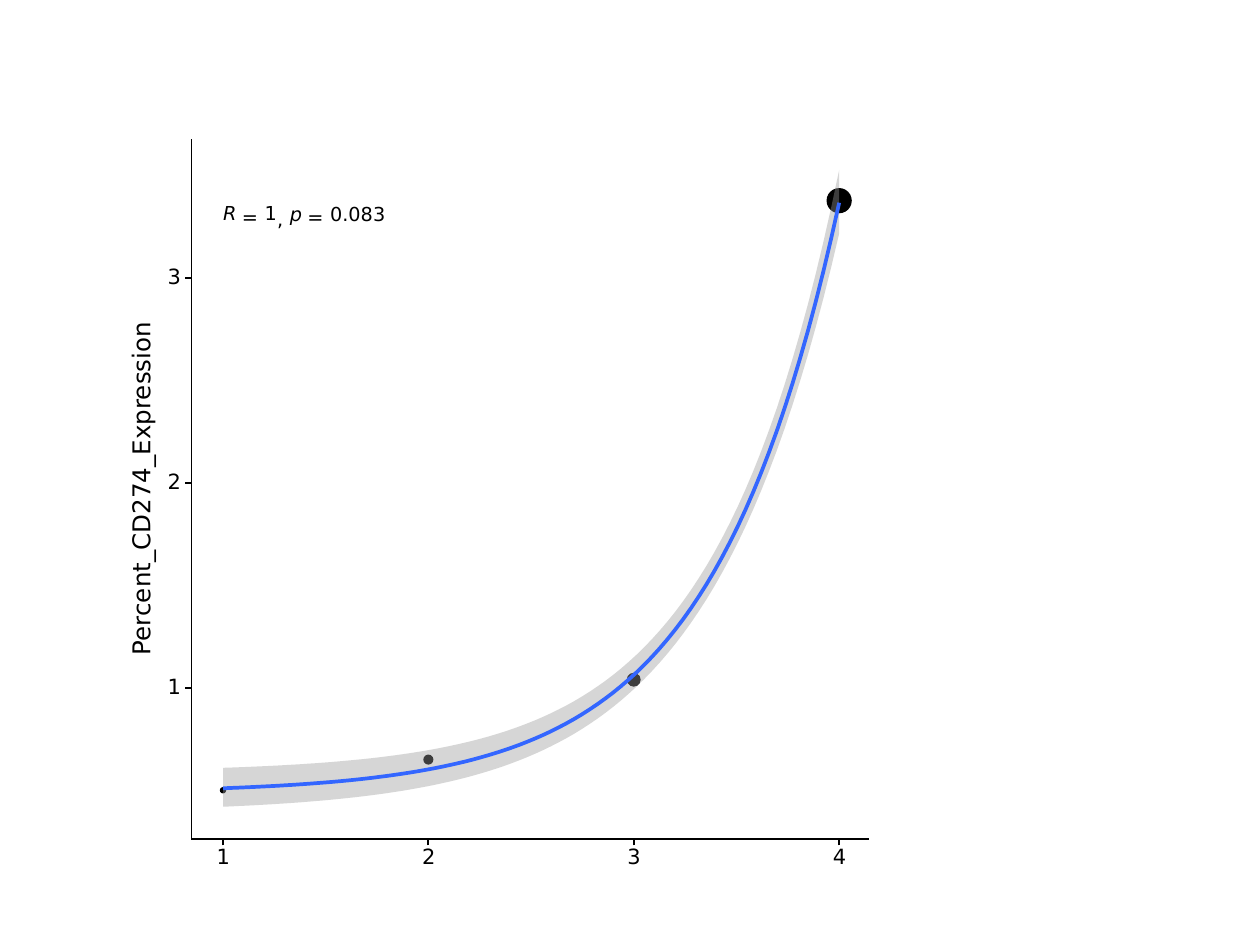
"""Draw a scatter plot with an exponential fit and its confidence band."""
from dataclasses import dataclass

from lxml import etree
from pptx import Presentation
from pptx import util as u
from pptx.dml.color import RGBColor
from pptx.enum import shapes, text
from pptx.oxml import ns


@dataclass(frozen=True)
class Theme:
    font: str = "DejaVu Sans"
    ink: str = "000000"
    paper: str = "FFFFFF"
    band: str = "999999"
    fit: str = "3366FF"
    note: int = 11
    tick: int = 12
    label: int = 14
    axis: float = 1.07
    curve: float = 2.13
    edge: float = 0.71


@dataclass(frozen=True)
class Grid:
    """Axes whose columns and rows are one data unit each."""
    left: float = 1.77
    base: float = 5.46
    col: float = 1.63
    row: float = 1.625

    def x(self, val: float) -> float:
        return self.left + self.col * (val - 1)

    def y(self, val: float) -> float:
        return self.base - self.row * (val - 1)


@dataclass(frozen=True)
class Point:
    x: float
    y: float
    size: float


@dataclass(frozen=True)
class Curve:
    """Exponential from low at x = 1 to high at x = 4."""
    low: float
    high: float
    rate: float

    def at(self, x: float) -> float:
        part = (self.rate ** (x - 1) - 1) / (self.rate ** 3 - 1)
        return self.low + (self.high - self.low) * part

    def trace(self, count: int = 80) -> list[tuple[int, int]]:
        steps = [1 + 3 * i / (count - 1) for i in range(count)]
        return [(u.Inches(GRID.x(x)), u.Inches(GRID.y(self.at(x)))) for x in steps]


@dataclass(frozen=True)
class Word:
    text: str
    left: float
    top: float
    width: float
    height: float
    slant: bool = False


THEME = Theme()
GRID = Grid()
AXIS_X, AXIS_Y, TICK = 1.52, 6.66, 0.05
POINTS = [Point(1, 0.5, 0.04), Point(2, 0.65, 0.07), Point(3, 1.04, 0.1), Point(4, 3.38, 0.19)]
FIT = Curve(0.51, 3.37, 5)
UPPER = Curve(0.61, 3.53, 5.25)
LOWER = Curve(0.42, 3.22, 4.7)
NOTE = [
    Word("R", 1.77, 1.65, 0.11, 0.11, True),
    Word("=", 1.92, 1.72, 0.13, 0.04),
    Word("1", 2.1, 1.65, 0.1, 0.11),
    Word(",", 2.2, 1.73, 0.05, 0.04),
    Word("p", 2.3, 1.65, 0.1, 0.12, True),
    Word("=", 2.44, 1.72, 0.13, 0.04),
    Word("0.083", 2.62, 1.65, 0.44, 0.12),
]


def paint(shape, fill: str | None, line: str | None, width: float = 0.75) -> None:
    shape.shadow.inherit = False
    if fill:
        shape.fill.solid()
        shape.fill.fore_color.rgb = RGBColor.from_string(fill)
    else:
        shape.fill.background()
    if line:
        shape.line.color.rgb = RGBColor.from_string(line)
        shape.line.width = u.Pt(width)
    else:
        shape.line.fill.background()


def write(plot, word: Word, size: int, turn: int = 0) -> None:
    box = plot.add_textbox(*map(u.Inches, (word.left, word.top, word.width, word.height)))
    box.rotation = turn
    frame = box.text_frame
    frame.margin_left = frame.margin_right = frame.margin_top = frame.margin_bottom = 0
    frame.word_wrap = False
    frame.vertical_anchor = text.MSO_ANCHOR.MIDDLE
    frame.text = word.text
    para = frame.paragraphs[0]
    para.line_spacing = u.Pt(size)
    font = para.runs[0].font
    font.name, font.size = THEME.font, u.Pt(size)
    font.italic = word.slant or None
    font.color.rgb = RGBColor.from_string(THEME.ink)


def rule(plot, x1: float, y1: float, x2: float, y2: float) -> None:
    line = plot.add_connector(shapes.MSO_CONNECTOR.STRAIGHT, *map(u.Inches, (x1, y1, x2, y2)))
    line.line.color.rgb = RGBColor.from_string(THEME.ink)
    line.line.width = u.Pt(THEME.axis)
    etree.SubElement(line._element.spPr, ns.qn("a:effectLst"))


def outline(plot, dots: list[tuple[int, int]], close: bool):
    path = plot.build_freeform(*dots[0], scale=1.0)
    path.add_line_segments(dots[1:], close=close)
    return path.convert_to_shape()


def mark(plot, point: Point) -> None:
    half = point.size / 2
    spot = (GRID.x(point.x) - half, GRID.y(point.y) - half, point.size, point.size)
    dot = plot.add_shape(shapes.MSO_SHAPE.OVAL, *map(u.Inches, spot))
    paint(dot, THEME.ink, THEME.ink, THEME.edge)


def curves(plot) -> None:
    band = outline(plot, UPPER.trace() + LOWER.trace()[::-1], True)
    paint(band, THEME.band, None)
    tint = band._element.spPr.find(ns.qn("a:solidFill"))[0]
    etree.SubElement(tint, ns.qn("a:alpha"), val="40000")
    paint(outline(plot, FIT.trace(), False), None, THEME.fit, THEME.curve)


def axes(plot) -> None:
    rule(plot, AXIS_X, AXIS_Y, AXIS_X, 1.1)
    rule(plot, AXIS_X, AXIS_Y, 6.9, AXIS_Y)
    for val in (1, 2, 3):
        y = GRID.y(val)
        rule(plot, AXIS_X - TICK, y, AXIS_X, y)
        write(plot, Word(str(val), 1.33, y - 0.06, 0.11, 0.12), THEME.tick)
    for val in (1, 2, 3, 4):
        x = GRID.x(val)
        rule(plot, x, AXIS_Y + TICK, x, AXIS_Y)
        write(plot, Word(str(val), x - 0.05, 6.75, 0.11, 0.12), THEME.tick)
    write(plot, Word("Percent_CD274_Expression", -0.19, 3.78, 2.65, 0.19), THEME.label, 270)


def main() -> None:
    deck = Presentation()
    deck.slide_width, deck.slide_height = u.Inches(10), u.Inches(7.5)
    slide = deck.slides.add_slide(deck.slide_layouts[6])
    plot = slide.shapes.add_group_shape().shapes
    panel = plot.add_shape(shapes.MSO_SHAPE.RECTANGLE, *map(u.Inches, (1, 1, 6, 6)))
    paint(panel, THEME.paper, THEME.paper)
    for point in POINTS:
        mark(plot, point)
    curves(plot)
    for word in NOTE:
        write(plot, word, THEME.note)
    axes(plot)
    deck.save("out.pptx")


if __name__ == "__main__":
    main()
